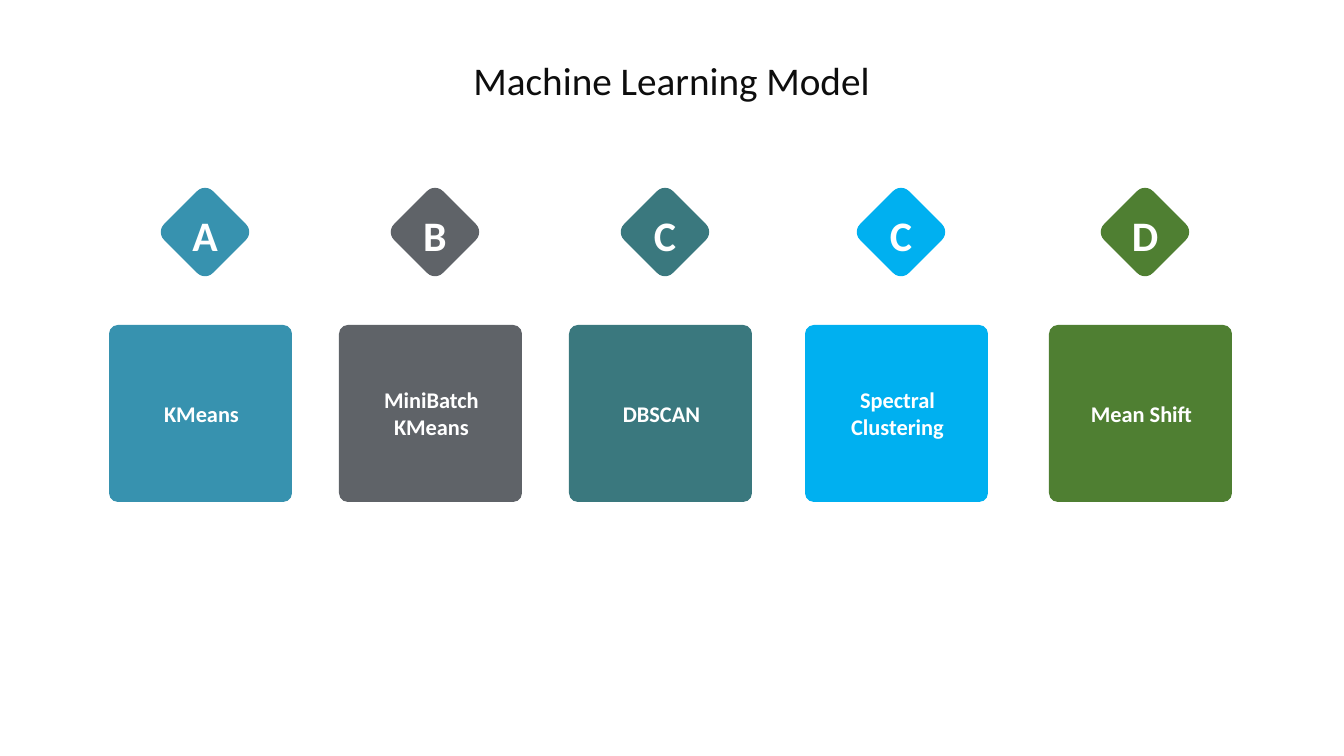
from pptx import Presentation
from pptx.dml.color import RGBColor
from pptx.enum.shapes import MSO_SHAPE
from pptx.enum.text import MSO_ANCHOR, PP_ALIGN
from pptx.util import Pt

EMU_PER_PX = 914400 / 100.8
FONT = "Calibri"
WHITE = RGBColor(0xFF, 0xFF, 0xFF)
INK = RGBColor(0x0D, 0x0D, 0x0D)
BLUE = RGBColor(0x37, 0x92, 0xAF)
GRAY = RGBColor(0x5F, 0x63, 0x68)
TEAL = RGBColor(0x3A, 0x78, 0x7E)
SKY = RGBColor(0x00, 0xB0, 0xF0)
GREEN = RGBColor(0x4F, 0x7F, 0x32)

MODELS = [
    (109, "A", "KMeans", BLUE),
    (339, "B", "MiniBatch KMeans", GRAY),
    (569, "C", "DBSCAN", TEAL),
    (805, "C", "Spectral Clustering", SKY),
    (1049, "D", "Mean Shift", GREEN),
]
CARD_TOP, CARD_WIDTH, CARD_HEIGHT = 325, 183, 177
BADGE_OFFSET, BADGE_MIDDLE, BADGE_SIDE = 96, 232, 69
LETTER_TOP, LETTER_WIDTH, LETTER_HEIGHT = 201, 94, 67


def px(length):
    """Turn a length in px into EMU."""
    return round(length * EMU_PER_PX)


def write_text(shape, text, size, color, bold=False):
    """Put one centred line of text into a shape."""
    frame = shape.text_frame
    frame.word_wrap = True
    frame.vertical_anchor = MSO_ANCHOR.MIDDLE
    paragraph = frame.paragraphs[0]
    paragraph.text = text
    paragraph.alignment = PP_ALIGN.CENTER
    font = paragraph.font
    font.name, font.size, font.bold = FONT, Pt(size), bold
    font.color.rgb = color


def add_rounded_box(slide, left, top, width, height, rounding, color):
    """Add a plain rounded rectangle."""
    shape = slide.shapes.add_shape(
        MSO_SHAPE.ROUNDED_RECTANGLE, px(left), px(top), px(width), px(height))
    shape.adjustments[0] = rounding
    shape.shadow.inherit = False
    shape.fill.solid()
    shape.fill.fore_color.rgb = color
    shape.line.fill.background()
    return shape


def add_card(slide, left, name, color):
    """Add the card that names a model."""
    card = add_rounded_box(
        slide, left, CARD_TOP, CARD_WIDTH, CARD_HEIGHT, 0.05, color)
    write_text(card, name, 16, WHITE, bold=True)
    card.text_frame.margin_left = px(14)
    card.text_frame.margin_right = px(12)


def add_badge(slide, center, letter, color):
    """Add a rounded diamond with an upright letter over it."""
    diamond = add_rounded_box(
        slide, center - BADGE_SIDE / 2, BADGE_MIDDLE - BADGE_SIDE / 2,
        BADGE_SIDE, BADGE_SIDE, 0.16, color)
    diamond.rotation = 45
    label = slide.shapes.add_textbox(
        px(center - LETTER_WIDTH / 2), px(LETTER_TOP),
        px(LETTER_WIDTH), px(LETTER_HEIGHT))
    write_text(label, letter, 30, WHITE, bold=True)


def add_title(slide, text):
    """Place and format the slide title."""
    title = slide.shapes.title
    title.left, title.top = px(336), px(51)
    title.width, title.height = px(671), px(57)
    write_text(title, text, 28, INK)


def main():
    """Build the slide and save it."""
    presentation = Presentation()
    presentation.slide_width, presentation.slide_height = px(1344), px(756)
    slide = presentation.slides.add_slide(presentation.slide_layouts[5])
    add_title(slide, "Machine Learning Model")
    for left, letter, name, color in MODELS:
        add_card(slide, left, name, color)
        add_badge(slide, left + BADGE_OFFSET, letter, color)
    presentation.save("out.pptx")


if __name__ == "__main__":
    main()
